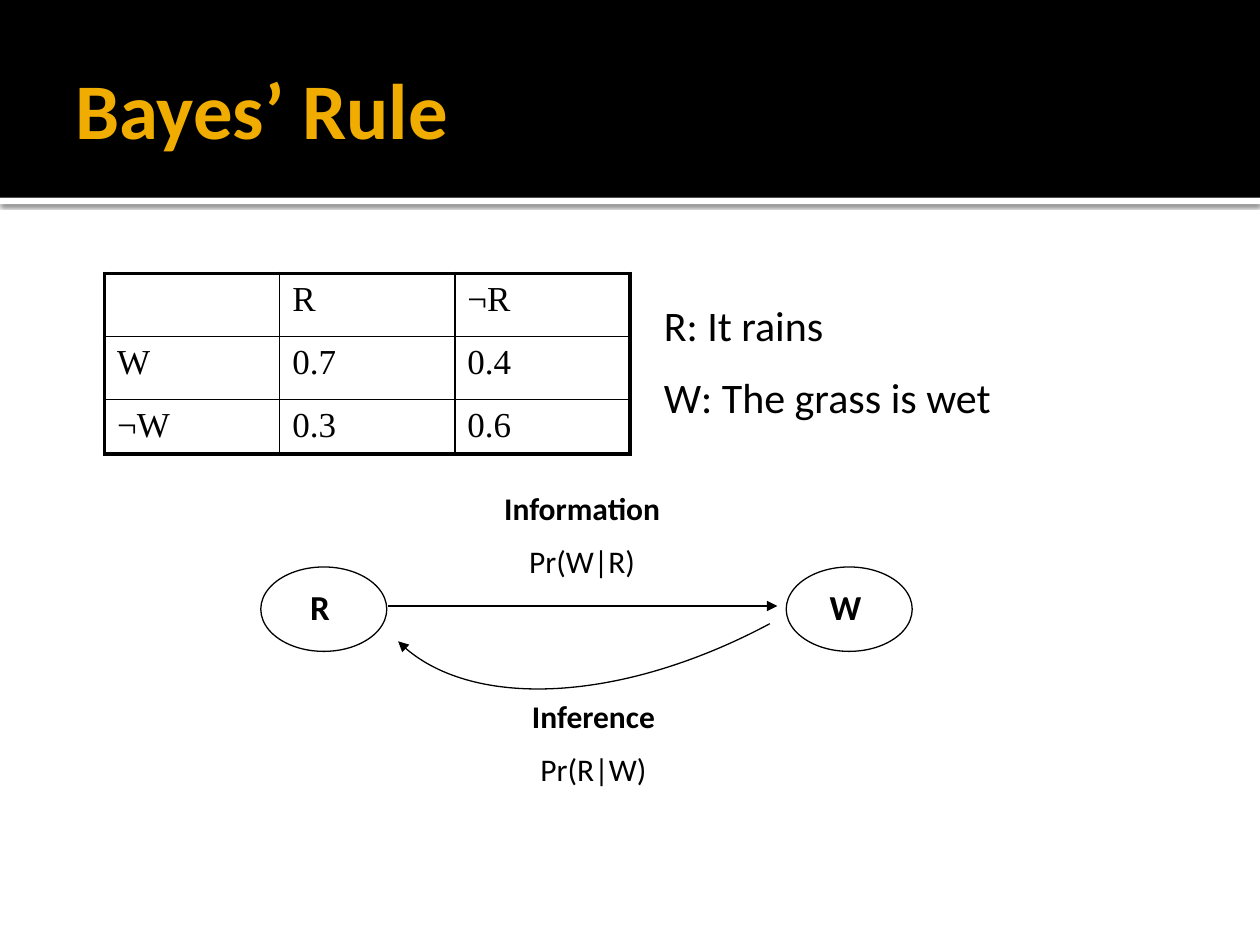
from lxml import etree
from pptx import Presentation
from pptx import util as u
from pptx.dml.color import RGBColor
from pptx.enum import shapes, text
from pptx.oxml import parse_xml
from pptx.oxml.ns import nsdecls, qn

COLORS = {"ink": "000000", "paper": "FFFFFF", "title": "F0AD00"}
BODY, SERIF = "Calibri", "Times New Roman"


def inches(*values):
    """Turn plain numbers into lengths."""
    return [u.Inches(value) for value in values]


def rgb(name):
    """Look up a named colour."""
    return RGBColor.from_string(COLORS[name])


def add_span(para, words, **values):
    """Add a run of text and apply its font values."""
    span = para.add_run()
    span.text = words
    span.font.color.rgb = rgb(values.pop("color", "ink"))
    for name, value in {"name": BODY, **values}.items():
        setattr(span.font, name, value)


def add_text(parent, box, lines, size, align=text.PP_ALIGN.LEFT, **values):
    """Place a text box whose lines are pairs of words and boldness."""
    frame = parent.add_textbox(*inches(*box)).text_frame
    frame.word_wrap = True
    for name, value in values.items():
        setattr(frame, name, value)
    for index, (words, bold) in enumerate(lines):
        para = frame.add_paragraph() if index else frame.paragraphs[0]
        para.alignment = align
        if index:
            para.space_before = u.Pt(size / 2)
        add_span(para, words, size=u.Pt(size), bold=bold)
    return frame


def add_rect(page, box, color):
    """Place a plain filled rectangle."""
    rect = page.shapes.add_shape(shapes.MSO_SHAPE.RECTANGLE, *inches(*box))
    rect.shadow.inherit = False
    rect.fill.solid()
    rect.fill.fore_color.rgb = rgb(color)
    rect.line.fill.background()
    return rect


def add_header(page, box, title):
    """Draw the black title band with a shadowed strip under it."""
    left, top, width, height = box
    strip = add_rect(page, (left, top + height, width, 0.05), "paper")
    effects = strip._element.spPr.find(qn("a:effectLst"))
    effects.append(parse_xml(
        f'<a:outerShdw {nsdecls("a")} blurRad="{u.Pt(2.5)}" dist="{u.Pt(0.8)}" '
        f'dir="5400000" algn="t" rotWithShape="0"><a:srgbClr val="{COLORS["ink"]}">'
        '<a:alpha val="60000"/></a:srgbClr></a:outerShdw>'))
    add_rect(page, box, "ink")
    frame = add_text(page.shapes, (left + 0.5, top + 0.17, width - 1, 1.37),
                     [(title, True)], 45, vertical_anchor=text.MSO_ANCHOR.MIDDLE,
                     margin_right=u.Inches(0.05))
    frame.paragraphs[0].runs[0].font.color.rgb = rgb("title")


def add_borders(cell, outer):
    """Draw the four cell borders, thicker on the outer sides."""
    for side in "LRTB":
        width = u.Pt(2.25 if side in outer else 1)
        cell._tc.get_or_add_tcPr().append(parse_xml(
            f'<a:ln{side} {nsdecls("a")} w="{width}"><a:solidFill>'
            f'<a:srgbClr val="{COLORS["ink"]}"/></a:solidFill></a:ln{side}>'))


def add_probabilities(page, box, rows, heights):
    """Place the table of conditional probabilities."""
    table = page.shapes.add_table(len(rows), len(rows[0]), *inches(*box)).table
    table.first_row = table.horz_banding = False
    last_row, last_column = len(rows) - 1, len(rows[0]) - 1
    for r, values in enumerate(rows):
        table.rows[r].height = u.Inches(heights[r])
        for c, words in enumerate(values):
            cell = table.cell(r, c)
            edges = {"L": c == 0, "R": c == last_column, "T": r == 0, "B": r == last_row}
            add_borders(cell, [side for side, outer in edges.items() if outer])
            cell.fill.background()
            if words:
                add_span(cell.text_frame.paragraphs[0], words, name=SERIF, size=u.Pt(20))


def style_line(shape, arrow=False):
    """Give a shape a thin black line, with an arrowhead if asked."""
    shape.line.color.rgb = rgb("ink")
    shape.line.width = u.Pt(0.75)
    if arrow:
        etree.SubElement(shape.line._get_or_add_ln(), qn("a:tailEnd"), type="triangle")


def add_node(page, box, name):
    """Group an ellipse with its bold label."""
    left, top, width, height = box
    parts = page.shapes.add_group_shape().shapes
    ellipse = parts.add_shape(shapes.MSO_SHAPE.OVAL, *inches(*box))
    ellipse.shadow.inherit = False
    ellipse.fill.background()
    style_line(ellipse)
    add_text(parts, (left - 0.07, top + 0.1, width + 0.08, 0.43),
             [(name, True)], 20, text.PP_ALIGN.CENTER)


def add_curve(page, points):
    """Draw a cubic curve with an arrowhead from four points."""
    start, *rest = [inches(*point) for point in points]
    builder = page.shapes.build_freeform(*start)
    builder.add_line_segments(rest, close=False)
    curve = builder.convert_to_shape()
    segments = list(curve._element.iter(qn("a:lnTo")))
    outline = segments[0].getparent()
    bezier = etree.SubElement(outline, qn("a:cubicBezTo"))
    for segment in segments:
        bezier.append(segment[0])
        outline.remove(segment)
    curve.shadow.inherit = False
    curve.fill.background()
    style_line(curve, arrow=True)


def add_diagram(page, box):
    """Draw the two nodes, the arrows between them and their captions."""
    left, top, width, height = box
    node_top = top + 0.67
    for x, name in ((left, "R"), (left + width - 1, "W")):
        add_node(page, (x, node_top, 1, 0.67), name)
    captions = (("Information", "Pr(W|R)", 1.76, 0), ("Inference", "Pr(R|W)", 1.85, 1.65))
    for heading, formula, x, y in captions:
        add_text(page.shapes, (left + x, top + y, 1.58, 0.85),
                 [(heading, True), (formula, False)], 18, text.PP_ALIGN.CENTER)
    arrow_y = node_top + 0.31
    arrow = page.shapes.add_connector(
        shapes.MSO_CONNECTOR.STRAIGHT,
        *inches(left + 1.01, arrow_y, left + width - 1.07, arrow_y))
    style_line(arrow, arrow=True)
    etree.SubElement(arrow._element.spPr, qn("a:effectLst"))
    offsets = ((4.04, 1.12), (2.86, 1.75), (1.62, 1.8), (1.09, 1.26))
    add_curve(page, [(left + x, top + y) for x, y in offsets])


def main():
    """Build the slide and save it."""
    deck = Presentation()
    deck.slide_width, deck.slide_height = inches(10, 7.5)
    page = deck.slides.add_slide(deck.slide_layouts[6])
    add_header(page, (0, 0, 10, 1.57), "Bayes’ Rule")
    rows = (("", "R", "¬R"), ("W", "0.7", "0.4"), ("¬W", "0.3", "0.6"))
    add_probabilities(page, (0.83, 2.17, 4.17, 1.42), rows, (0.5, 0.5, 0.42))
    add_text(page.shapes, (5.17, 2.33, 4.33, 1.1),
             [("R: It rains", False), ("W: The grass is wet", False)], 24)
    add_diagram(page, (2.07, 3.83, 5.17, 2.5))
    deck.save("out.pptx")


if __name__ == "__main__":
    main()
